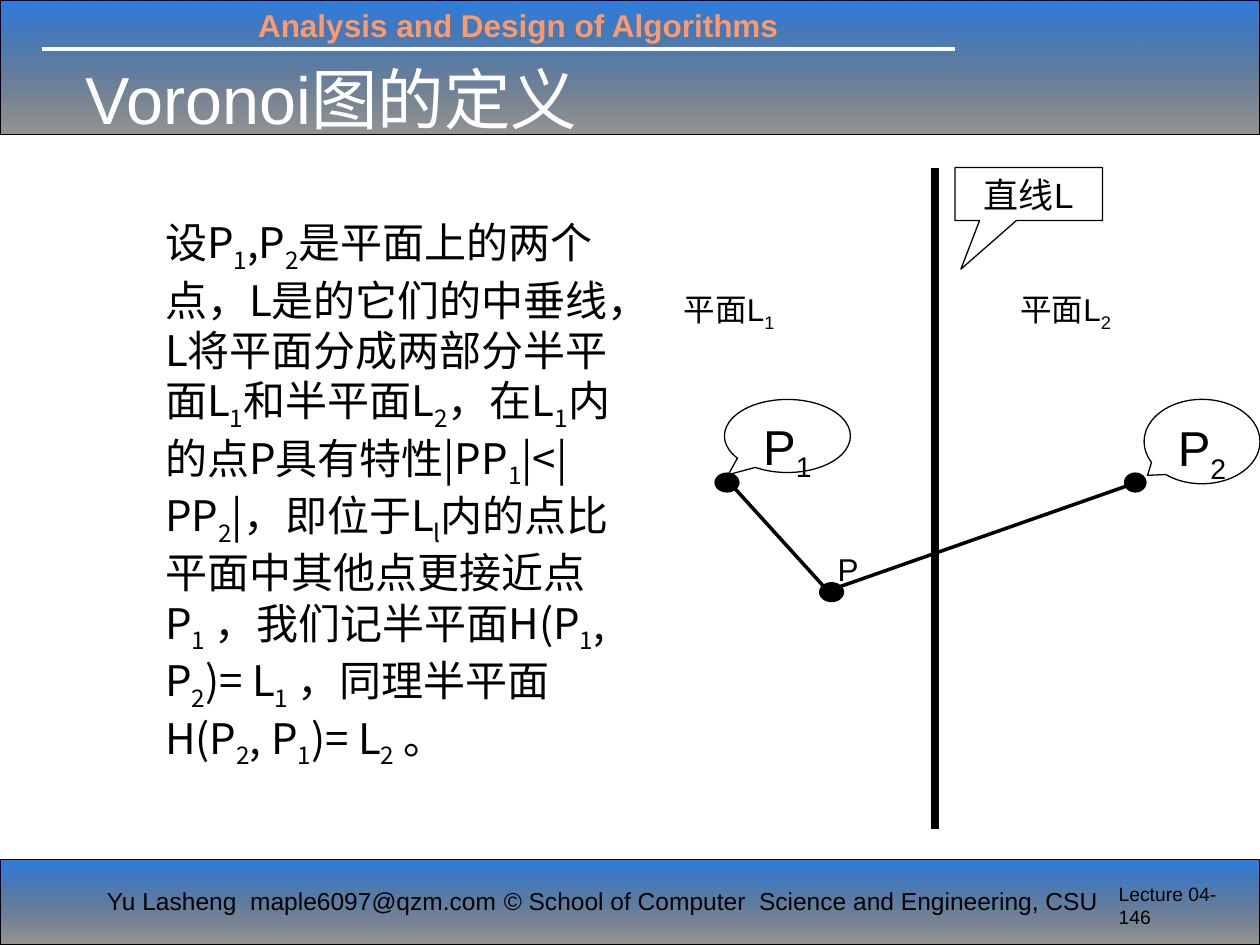
from lxml import etree
from pptx import Presentation
from pptx.dml.color import RGBColor
from pptx.enum.shapes import MSO_CONNECTOR, MSO_SHAPE
from pptx.enum.text import MSO_ANCHOR, MSO_AUTO_SIZE, PP_ALIGN
from pptx.oxml.ns import qn
from pptx.util import Inches, Pt

STRAIGHT = MSO_CONNECTOR.STRAIGHT
RECTANGLE, OVAL = MSO_SHAPE.RECTANGLE, MSO_SHAPE.OVAL
BOX_CALLOUT = MSO_SHAPE.RECTANGULAR_CALLOUT
OVAL_CALLOUT = MSO_SHAPE.OVAL_CALLOUT
TOP, MIDDLE = MSO_ANCHOR.TOP, MSO_ANCHOR.MIDDLE
NO_AUTOFIT = MSO_AUTO_SIZE.NONE
LEFT, CENTER = PP_ALIGN.LEFT, PP_ALIGN.CENTER

COLORS = {"blue": "0E6BDC", "black": "000000", "white": "FFFFFF", "orange": "FF9966"}
LATIN_FONT = "Arial"
CHINESE_FONT = "Noto Sans CJK SC"
BAND_STOPS = (("blue", 88), ("black", 41))
DEFINITION = (
    "设P_1,P_2是平面上的两个点，L是的它们的中垂线，L将平面分成两部分半平面L_1和半平面L_2，"
    "在L_1内的点P具有特性|PP_1|<|PP_2|，即位于L_l内的点比平面中其他点更接近点P_1 ，"
    "我们记半平面H(P_1, P_2)= L_1 ，同理半平面H(P_2, P_1)= L_2 。"
)


def color(name):
    """Return the named palette colour."""
    return RGBColor.from_string(COLORS[name])


def place(shape, box):
    """Move a shape to a box of left, top, width and height in inches."""
    shape.left, shape.top, shape.width, shape.height = map(Inches, box)


def write_text(shape, text, size=18, font=LATIN_FONT, ink="black", bold=False,
               align=LEFT, anchor=TOP, wrap=True):
    """Write one paragraph, lowering each character that follows an underscore."""
    frame = shape.text_frame
    frame.word_wrap = wrap
    frame.auto_size = NO_AUTOFIT
    frame.vertical_anchor = anchor
    paragraph = frame.paragraphs[0]
    paragraph.alignment = align
    paragraph.space_before = Pt(0)
    first, *others = text.split("_")
    pieces = [(first, False)]
    for part in others:
        pieces += [(part[0], True), (part[1:], False)]
    for piece, lowered in pieces:
        if not piece:
            continue
        run = paragraph.add_run()
        run.text = piece
        run.font.name = font
        run.font.size = Pt(size)
        run.font.bold = bold
        run.font.color.rgb = color(ink)
        properties = run.font._element
        etree.SubElement(properties, qn("a:ea")).set("typeface", CHINESE_FONT)
        if lowered:
            properties.set("baseline", "-25000")
    return paragraph


def add_label(slide, box, text, **text_format):
    """Add a text box."""
    label = slide.shapes.add_textbox(*map(Inches, box))
    write_text(label, text, **text_format)


def add_line(slide, start, end, ink, width):
    """Add a straight line between two points."""
    line = slide.shapes.add_connector(STRAIGHT, *map(Inches, start + end))
    line.line.color.rgb = color(ink)
    line.line.width = Pt(width)
    etree.SubElement(line._element.spPr, qn("a:effectLst"))


def add_outlined_shape(slide, kind, box):
    """Add a preset shape with a thin black outline."""
    shape = slide.shapes.add_shape(kind, *map(Inches, box))
    shape.shadow.inherit = False
    shape.line.color.rgb = color("black")
    shape.line.width = Pt(0.75)
    return shape


def add_band(slide, box):
    """Add a translucent band that fades downwards from blue to grey."""
    band = add_outlined_shape(slide, RECTANGLE, box)
    band.fill.gradient()
    band.fill.gradient_angle = 270
    for stop, (name, _) in zip(band.fill.gradient_stops, BAND_STOPS):
        stop.color.rgb = color(name)
    gradient = band._element.spPr.find(qn("a:gradFill"))
    for tint, (_, opacity) in zip(gradient.iter(qn("a:srgbClr")), BAND_STOPS):
        etree.SubElement(tint, qn("a:alpha")).set("val", str(opacity * 1000))


def add_callout(slide, kind, box, tip, text, size):
    """Add a callout whose tip is given relative to its centre."""
    callout = add_outlined_shape(slide, kind, box)
    callout.fill.background()
    callout.adjustments[0], callout.adjustments[1] = tip
    write_text(callout, text, size=size, align=CENTER)


def add_dot(slide, box):
    """Add a black point."""
    dot = slide.shapes.add_shape(OVAL, *map(Inches, box))
    dot.shadow.inherit = False
    dot.fill.solid()
    dot.fill.fore_color.rgb = color("black")
    dot.line.fill.background()


def build_header(slide, box):
    """Build the top band with the course name, rule and slide title."""
    left, top, _, _ = box
    add_band(slide, box)
    add_line(slide, (left + 0.33, top + 0.39), (left + 7.58, top + 0.39), "white", 2.25)
    add_label(slide, (left + 1.95, top, 5, 0.4), "Analysis and Design of Algorithms",
              ink="orange", bold=True)
    title = slide.shapes.title
    slide.shapes._spTree.append(title._element)
    place(title, (left + 0.58, top + 0.36, 8.33, 0.84))
    write_text(title, "Voronoi图的定义", size=38, ink="white", anchor=MIDDLE)


def build_footer(slide, box):
    """Build the bottom band with author, school and page."""
    left, top, _, _ = box
    add_band(slide, box)
    add_label(slide, (left + 0.75, top + 0.16, 3.21, 0.57),
              "Yu Lasheng  maple6097@qzm.com", size=14, wrap=False)
    add_label(slide, (left + 3.9, top + 0.16, 5.12, 0.34),
              "© School of Computer  Science and Engineering, CSU", size=14, wrap=False)
    add_label(slide, (left + 8.78, top + 0.13, 1.22, 0.5), "Lecture 04-146", size=11)


def build_definition(slide, box):
    """Build the definition in the body placeholder."""
    body = slide.placeholders[1]
    place(body, box)
    paragraph = write_text(body, DEFINITION, size=24, font=CHINESE_FONT)
    properties = paragraph._p.get_or_add_pPr()
    properties.set("marL", str(Inches(0.38)))
    properties.set("indent", "0")
    etree.SubElement(properties, qn("a:buNone"))


def build_diagram(slide, box):
    """Build the bisector L with its half-planes and points."""
    left, top, _, height = box

    def at(x, y, *size):
        return (left + x, top + y, *size)

    add_dot(slide, at(0.34, 2.42, 0.2, 0.16))
    add_dot(slide, at(3.59, 2.42, 0.18, 0.16))
    add_line(slide, at(2.09, 0), at(2.09, height), "black", 5)
    add_callout(slide, BOX_CALLOUT, at(2.25, 0, 1.17, 0.42), (-0.46, 1.42), "直线L", 20)
    add_callout(slide, OVAL_CALLOUT, at(0.42, 1.84, 1, 0.58), (-0.47, 0.53), "P_1", 28)
    add_callout(slide, OVAL_CALLOUT, at(3.75, 1.84, 0.92, 0.67), (-0.47, 0.4), "P_2", 28)
    for x, name in ((0, "平面L_1"), (2.67, "平面L_2")):
        add_label(slide, at(x, 0.92, 1.5, 0.5), name)
    add_label(slide, at(1.22, 2.99, 0.39, 0.5), "P", wrap=False)
    add_dot(slide, at(1.17, 3.29, 0.2, 0.16))
    for x in (0.46, 3.69):
        add_line(slide, at(x, 2.5), at(1.24, 3.36), "black", 2)


def main():
    """Build and save the slide."""
    presentation = Presentation()
    presentation.slide_width = Inches(10)
    presentation.slide_height = Inches(7.5)
    slide = presentation.slides.add_slide(presentation.slide_layouts[1])
    build_header(slide, (0, 0, 10, 1.07))
    build_footer(slide, (0, 6.82, 10, 0.68))
    build_definition(slide, (0.83, 1.67, 4.17, 4.5))
    build_diagram(slide, (5.33, 1.33, 4.67, 5.25))
    presentation.save("out.pptx")


if __name__ == "__main__":
    main()
